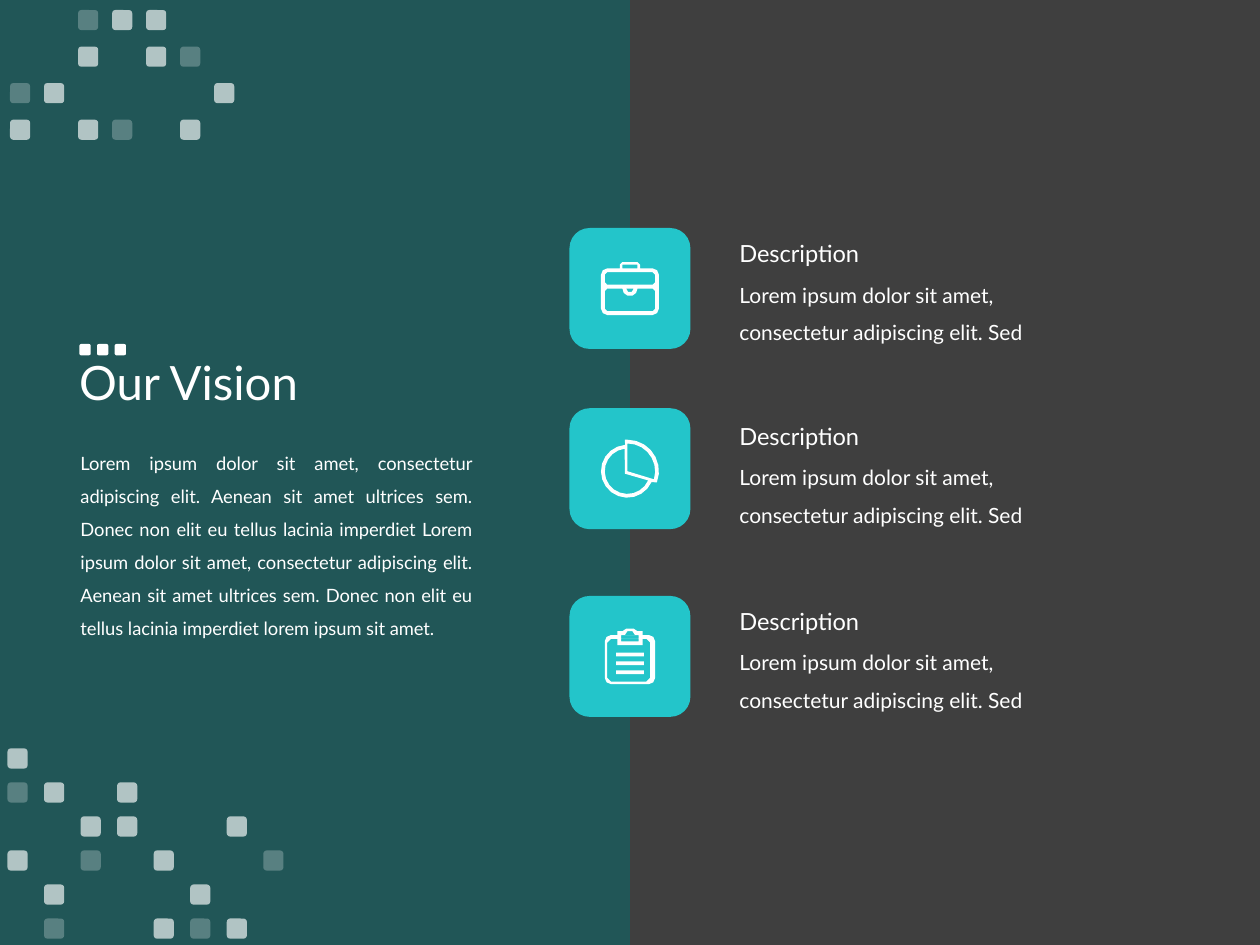
import math
from dataclasses import dataclass

from lxml import etree
from pptx import Presentation
from pptx import util as u
from pptx.dml.color import RGBColor
from pptx.enum import shapes, text
from pptx.oxml.ns import qn
from pptx.shapes import autoshape, shapetree

EMU_PER_PX = 9144

Point = tuple[float, float]
Contour = list[Point]


@dataclass(frozen=True)
class Theme:
    font: str = "Lato"
    background: str = "3F3F3F"
    panel: str = "126365"
    tile: str = "23C5CA"
    ink: str = "FFFFFF"
    panel_alpha: int = 65
    bright_alpha: int = 65
    faint_alpha: int = 25
    title_size: float = 27
    heading_size: float = 13.5
    item_size: float = 12
    body_size: float = 10.5


@dataclass(frozen=True)
class Box:
    left: int
    top: int
    width: int
    height: int


@dataclass(frozen=True)
class Mosaic:
    left: int
    top: int
    column_step: int
    row_step: int
    rows: tuple[str, ...]


@dataclass(frozen=True)
class Item:
    tile_top: int
    heading_top: int
    icon: list[Contour]


THEME = Theme()
MOSAIC_SIZE = 16
MOSAIC_ALPHA = {"#": THEME.bright_alpha, "o": THEME.faint_alpha}

MOSAICS = (
    Mosaic(6, 594, 29, 27, ("#", "o#.#", "..##..#", "#.o.#..o", ".#...#", ".o..#o#")),
    Mosaic(8, 8, 27, 29, ("..o##", "..#.#o", "o#....#", "#.#o.#")),
)

ITEM_TEXT = "Lorem ipsum dolor sit amet, consectetur adipiscing elit. Sed"
BODY_TEXT = (
    "Lorem ipsum dolor sit amet, consectetur adipiscing elit. Aenean sit amet "
    "ultrices sem. Donec non elit eu tellus lacinia imperdiet Lorem ipsum dolor "
    "sit amet, consectetur adipiscing elit. Aenean sit amet ultrices sem. Donec "
    "non elit eu tellus lacinia imperdiet lorem ipsum sit amet."
)


def px(value: float) -> u.Emu:
    return u.Emu(round(value * EMU_PER_PX))


def place(box: Box) -> tuple[u.Emu, ...]:
    return px(box.left), px(box.top), px(box.width), px(box.height)


def arc(x: float, y: float, radius: float, start: int, end: int, steps: int) -> Contour:
    angles = (math.radians(start + (end - start) * i / steps) for i in range(steps + 1))
    return [(x + radius * math.cos(a), y + radius * math.sin(a)) for a in angles]


def rounded(left: int, top: int, width: int, height: int, radius: int = 0) -> Contour:
    near_x, far_x = left + radius, left + width - radius
    near_y, far_y = top + radius, top + height - radius
    corners = ((near_x, near_y), (far_x, near_y), (far_x, far_y), (near_x, far_y))
    if radius == 0:
        return list(corners)
    steps = 2 if radius > 3 else 1
    return [
        point
        for i, (x, y) in enumerate(corners)
        for point in arc(x, y, radius, 180 + 90 * i, 270 + 90 * i, steps)
    ]


def briefcase() -> list[Contour]:
    return [
        rounded(477, 213, 46, 37, 5),
        rounded(480, 216, 40, 10, 2),
        rounded(480, 229, 40, 18, 2),
        [(492, 213), (492, 210), (494, 208), (506, 208), (508, 210), (508, 213)],
        rounded(494, 210, 12, 3),
        arc(500, 229, 6, 0, 180, 5),
        arc(500, 229, 3, 0, 180, 3),
    ]


def pie() -> list[Contour]:
    x, y = 498, 374
    return [
        arc(x, y, 25, -90, 21, 7) + arc(x, y, 21, 24, 265, 14) + [(496, 349)],
        arc(x, y, 18, 24, 263, 14) + [(496, 376)],
        arc(x, y, 22, -90, 17, 7) + [(x, y)],
    ]


def clipboard() -> list[Contour]:
    lines = [rounded(489, top, 22, 3) for top in (518, 525, 532)]
    clip = [(490, 504), (490, 501), (494, 501), (497, 499),
            (503, 499), (506, 501), (510, 501), (510, 504)]
    window = [(493, 504), (496, 504), (498, 501), (502, 501),
              (504, 504), (507, 504), (507, 509), (493, 509)]
    return [
        rounded(480, 504, 40, 39, 5),
        rounded(482, 507, 34, 34, 3),
        clip,
        rounded(490, 507, 20, 5),
        window,
        *lines,
    ]


def paint(shape: autoshape.Shape, color: str, alpha: int = 100) -> None:
    shape.shadow.inherit = False
    shape.fill.solid()
    shape.fill.fore_color.rgb = RGBColor.from_string(color)
    shape.line.fill.background()
    if alpha < 100:
        fill = shape.element.spPr.find(".//" + qn("a:srgbClr"))
        etree.SubElement(fill, qn("a:alpha")).set("val", str(alpha * 1000))


def draw_block(
    tree: shapetree._BaseGroupShapes, box: Box, color: str, alpha: int = 100,
    kind: shapes.MSO_SHAPE = shapes.MSO_SHAPE.ROUNDED_RECTANGLE,
) -> None:
    paint(tree.add_shape(kind, *place(box)), color, alpha)


def draw_mosaic(tree: shapetree.SlideShapes, mosaic: Mosaic) -> None:
    group = tree.add_group_shape()
    for row, marks in enumerate(mosaic.rows):
        for column, mark in enumerate(marks):
            if mark in MOSAIC_ALPHA:
                left = mosaic.left + column * mosaic.column_step
                top = mosaic.top + row * mosaic.row_step
                box = Box(left, top, MOSAIC_SIZE, MOSAIC_SIZE)
                draw_block(group.shapes, box, THEME.ink, MOSAIC_ALPHA[mark])


def draw_icon(tree: shapetree.SlideShapes, contours: list[Contour]) -> None:
    outlines = [[(px(x), px(y)) for x, y in contour] for contour in contours]
    builder = tree.build_freeform(*outlines[0][0])
    builder.add_line_segments(outlines[0][1:])
    for outline in outlines[1:]:
        builder.move_to(*outline[0])
        builder.add_line_segments(outline[1:])
    paint(builder.convert_to_shape(), THEME.ink)


def draw_text(
    tree: shapetree.SlideShapes, box: Box, words: str, size: float, spacing: float = 1.0,
    align: text.PP_ALIGN = text.PP_ALIGN.LEFT,
    anchor: text.MSO_ANCHOR = text.MSO_ANCHOR.TOP,
) -> None:
    frame = tree.add_textbox(*place(box)).text_frame
    frame.word_wrap = True
    frame.vertical_anchor = anchor
    frame.text = words
    para = frame.paragraphs[0]
    para.alignment = align
    para.line_spacing = spacing
    for span in para.runs:
        span.font.name = THEME.font
        span.font.size = u.Pt(size)
        span.font.color.rgb = RGBColor.from_string(THEME.ink)


def draw_item(tree: shapetree.SlideShapes, item: Item) -> None:
    draw_block(tree, Box(452, item.tile_top, 96, 96), THEME.tile)
    draw_text(tree, Box(577, item.heading_top + 24, 298, 67), ITEM_TEXT, THEME.item_size, 1.5)
    draw_text(tree, Box(577, item.heading_top, 176, 33), "Description", THEME.heading_size)
    draw_icon(tree, item.icon)


def main() -> None:
    deck = Presentation()
    deck.slide_width, deck.slide_height = px(1000), px(750)
    page = deck.slides.add_slide(deck.slide_layouts[6])
    page.background.fill.solid()
    page.background.fill.fore_color.rgb = RGBColor.from_string(THEME.background)
    tree = page.shapes

    draw_block(tree, Box(0, 0, 500, 750), THEME.panel, THEME.panel_alpha,
               shapes.MSO_SHAPE.RECTANGLE)
    draw_text(tree, Box(53, 222, 862, 167), "Our Vision", THEME.title_size, 0.9,
              anchor=text.MSO_ANCHOR.MIDDLE)
    draw_text(tree, Box(54, 345, 331, 166), BODY_TEXT, THEME.body_size, 1.5,
              text.PP_ALIGN.JUSTIFY)
    for item in (Item(181, 185, briefcase()), Item(324, 330, pie()), Item(473, 477, clipboard())):
        draw_item(tree, item)

    dots = tree.add_group_shape()
    for index in range(3):
        draw_block(dots.shapes, Box(63 + 14 * index, 273, 9, 9), THEME.ink)
    for mosaic in MOSAICS:
        draw_mosaic(tree, mosaic)
    deck.save("out.pptx")


if __name__ == "__main__":
    main()
